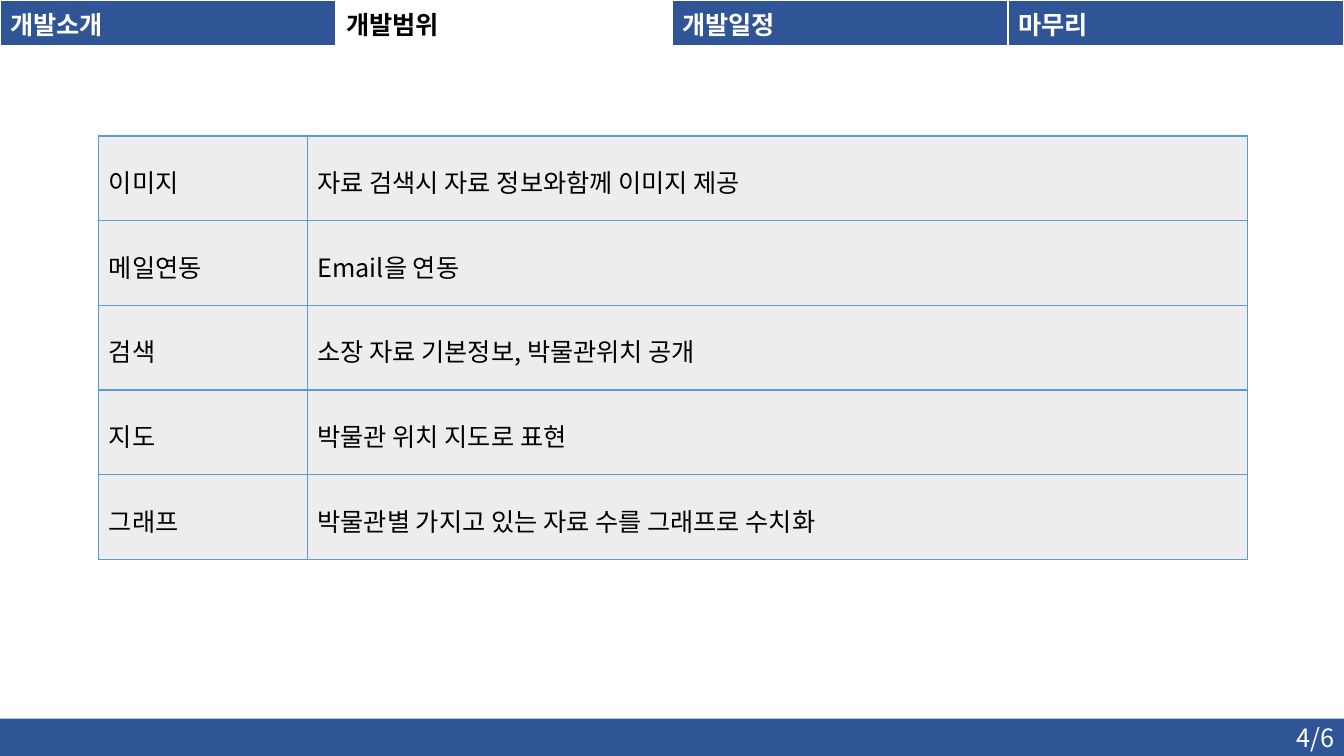
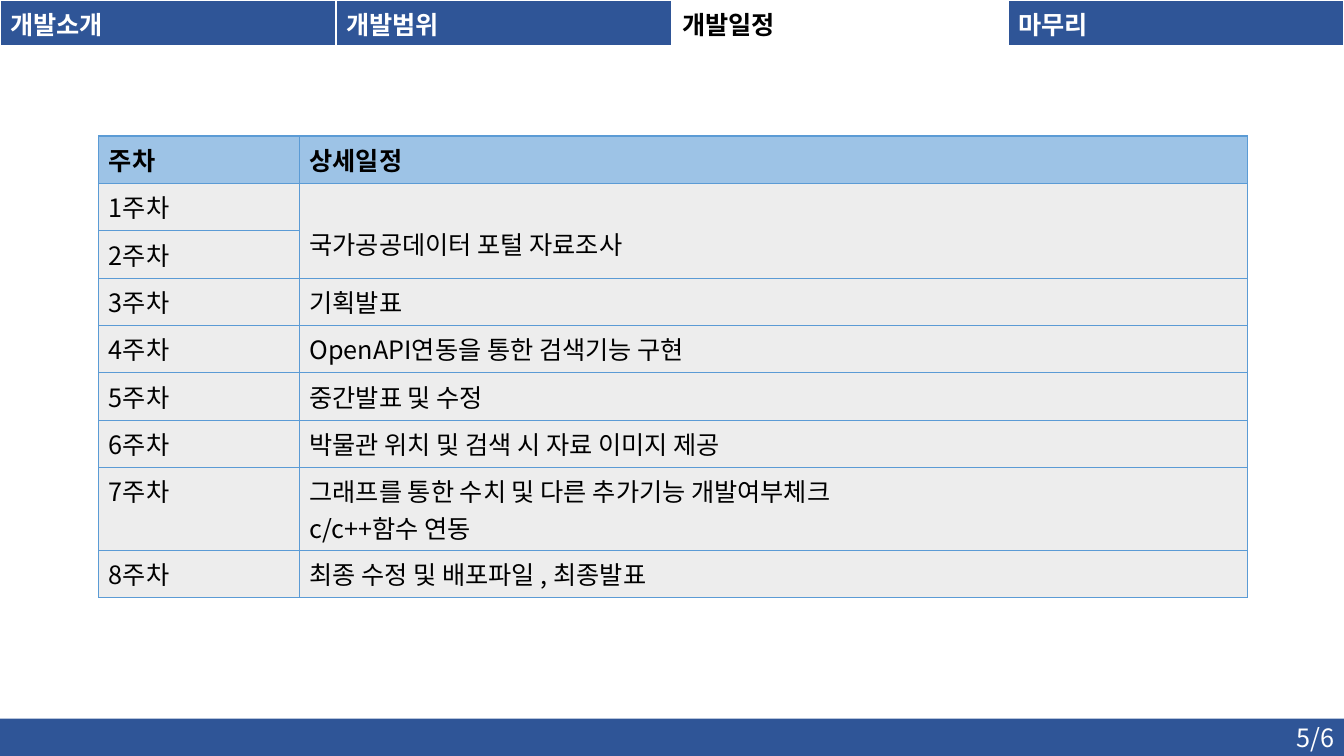
from pptx import Presentation
from pptx.dml.color import RGBColor
from pptx.enum.shapes import MSO_SHAPE
from pptx.enum.text import MSO_ANCHOR, PP_ALIGN
from pptx.oxml.ns import qn
from pptx.util import Inches, Pt
from lxml.etree import SubElement

WIDE, HIGH = 13.33, 7.5
FONT = "Noto Sans CJK KR"
HUES = {
    "navy": "2F5597",
    "sky": "9DC3E6",
    "edge": "5B9BD5",
    "gray": "EDEDED",
    "white": "FFFFFF",
    "black": "000000",
}
TABS = ["개발소개", "개발범위", "개발일정", "마무리"]
PAGES = 6
GRID = dict.fromkeys("LRTB", ("edge", 1))
TRIM = {"L": ("white", 1), "R": ("white", 1), "T": ("white", 1), "B": ("white", 3)}

SCOPE = [
    ("이미지", "자료 검색시 자료 정보와함께 이미지 제공"),
    ("메일연동", "Email을 연동"),
    ("검색", "소장 자료 기본정보, 박물관위치 공개"),
    ("지도", "박물관 위치 지도로 표현"),
    ("그래프", "박물관별 가지고 있는 자료 수를 그래프로 수치화"),
]
PLAN = [
    ("주차", "상세일정"),
    ("1주차", "국가공공데이터 포털 자료조사"),
    ("2주차", ""),
    ("3주차", "기획발표"),
    ("4주차", "OpenAPI연동을 통한 검색기능 구현"),
    ("5주차", "중간발표 및 수정"),
    ("6주차", "박물관 위치 및 검색 시 자료 이미지 제공"),
    ("7주차", "그래프를 통한 수치 및 다른 추가기능 개발여부체크\nc/c++함수 연동"),
    ("8주차", "최종 수정 및 배포파일 , 최종발표"),
]


def tint(name):
    return RGBColor.from_string(HUES[name])


def paint(fill, name):
    fill.solid()
    fill.fore_color.rgb = tint(name)


def write(frame, text, hue, bold=False, align=PP_ALIGN.LEFT):
    for i, line in enumerate(text.split("\n")):
        para = frame.add_paragraph() if i else frame.paragraphs[0]
        para.alignment = align
        run = para.add_run()
        run.text = line
        font = run.font
        font.size, font.bold, font.name = Pt(18), bold, FONT
        font.color.rgb = tint(hue)
        SubElement(run._r.get_or_add_rPr(), qn("a:ea"), typeface=FONT)


def rule(cell, lines):
    props = cell._tc.get_or_add_tcPr()
    for side, (hue, size) in lines.items():
        line = SubElement(props, qn("a:ln" + side), w=str(Pt(size)))
        fill = SubElement(line, qn("a:solidFill"))
        SubElement(fill, qn("a:srgbClr"), val=HUES[hue])


def dress(cell, text, fill, hue, lines, bold=False):
    rule(cell, lines)
    paint(cell.fill, fill)
    if text:
        write(cell.text_frame, text, hue, bold)


def grid(slide, box, cols, rows):
    left, top, wide = box
    frame = slide.shapes.add_table(
        len(rows), len(cols), Inches(left), Inches(top), Inches(wide), Inches(sum(rows))
    )
    table = frame.table
    table.first_row = table.horz_banding = False
    for col, size in zip(table.columns, cols):
        col.width = Inches(size)
    for row, size in zip(table.rows, rows):
        row.height = Inches(size)
    return table


def tabs(slide, box, here):
    count = len(TABS)
    table = grid(slide, box, [box[2] / count] * count, [0.41])
    for i, text in enumerate(TABS):
        fill, hue = ("white", "black") if i == here else ("navy", "white")
        dress(table.cell(0, i), text, fill, hue, TRIM, True)


def foot(slide, box, page):
    bar = slide.shapes.add_shape(MSO_SHAPE.RECTANGLE, *map(Inches, box))
    bar.shadow.inherit = False
    paint(bar.fill, "navy")
    bar.line.fill.background()
    bar.text_frame.vertical_anchor = MSO_ANCHOR.MIDDLE
    write(bar.text_frame, f"{page}/{PAGES}", "white", align=PP_ALIGN.RIGHT)


def body(slide, box, first, rows, data, head=False):
    table = grid(slide, box, [first, box[2] - first], rows)
    for r, texts in enumerate(data):
        top = head and r == 0
        for c, text in enumerate(texts):
            fill = "sky" if top else "gray"
            dress(table.cell(r, c), text, fill, "black", GRID, top)
    return table


def base(deck, here, page):
    slide = deck.slides.add_slide(deck.slide_layouts[6])
    foot(slide, (0, 7.13, WIDE, 0.37), page)
    tabs(slide, (0, 0, WIDE), here)
    return slide


def scope(deck, box):
    slide = base(deck, 1, 4)
    table = body(slide, box, 2.07, [0.84] * len(SCOPE), SCOPE)
    for cell in table.iter_cells():
        cell.margin_top = Inches(0.27)


def plan(deck, box):
    slide = base(deck, 2, 5)
    rows = [0.82 if "\n" in text else 0.47 for week, text in PLAN]
    table = body(slide, box, 1.99, rows, PLAN, True)
    cell = table.cell(1, 1)
    cell.merge(table.cell(2, 1))
    cell.margin_top = Inches(0.42)


def main():
    deck = Presentation()
    deck.slide_width, deck.slide_height = Inches(WIDE), Inches(HIGH)
    box = (0.98, 1.35, 11.39)
    scope(deck, box)
    plan(deck, box)
    deck.save("out.pptx")


if __name__ == "__main__":
    main()
